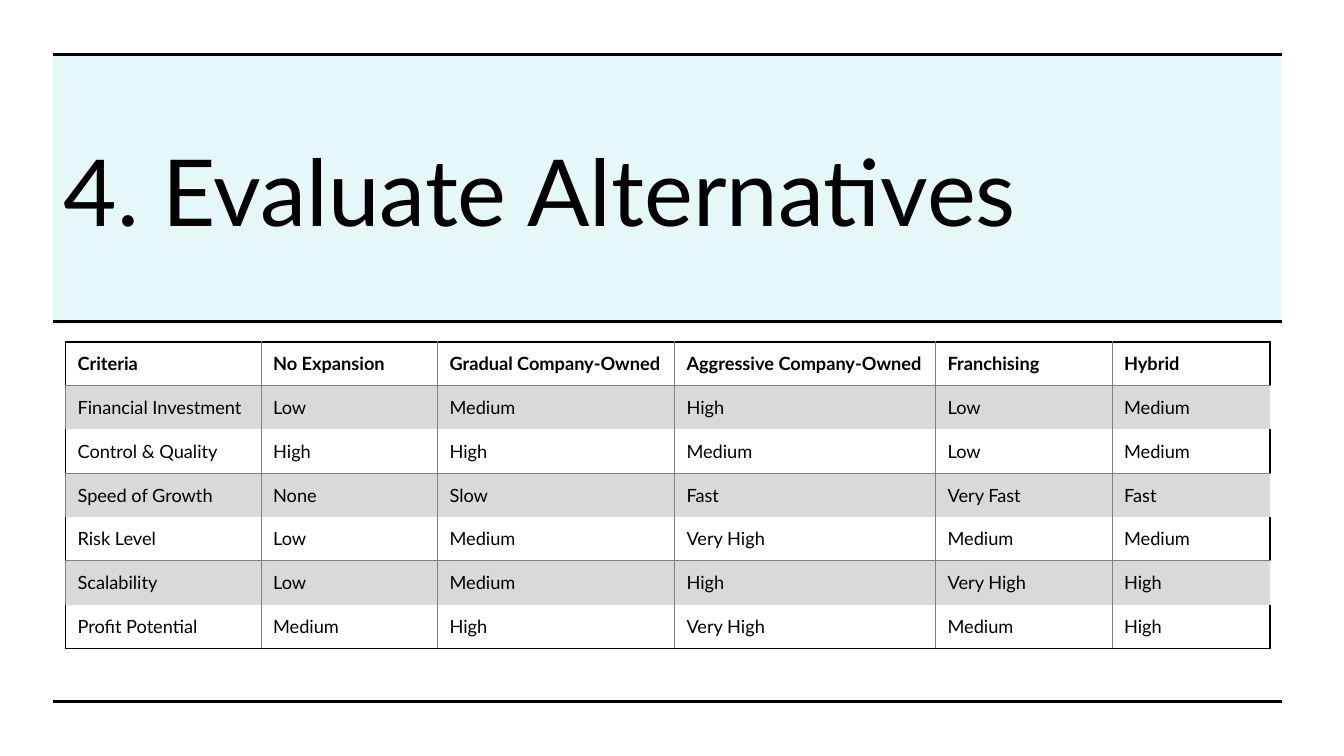
from dataclasses import dataclass
from typing import Optional

import lxml.etree
import pptx
import pptx.dml.color
import pptx.enum.shapes
import pptx.enum.text
import pptx.oxml
import pptx.oxml.ns
import pptx.util

Inches = pptx.util.Inches
Pt = pptx.util.Pt
RGBColor = pptx.dml.color.RGBColor
qn = pptx.oxml.ns.qn

BLACK = RGBColor(0x00, 0x00, 0x00)
GREY = RGBColor(0x80, 0x80, 0x80)
SHADE = RGBColor(0xD9, 0xD9, 0xD9)
TEAL = RGBColor(0x00, 0xBA, 0xC8)
FONT = "Lato"


@dataclass(frozen=True)
class Border:
    color: RGBColor
    width: float


@dataclass(frozen=True)
class Rule:
    y: float
    left: float = 0.53
    right: float = 12.72
    width: float = 2.25


OUTER = Border(BLACK, 1.5)
INNER = Border(GREY, 0.5)
RULES = [Rule(0.54), Rule(3.19), Rule(6.96)]

COL_WIDTHS = [1.94, 1.75, 2.35, 2.59, 1.75, 1.57]
ROW_HEIGHT = 0.435
ROWS = [
    ["Criteria", "No Expansion", "Gradual Company-Owned",
     "Aggressive Company-Owned", "Franchising", "Hybrid"],
    ["Financial Investment", "Low", "Medium", "High", "Low", "Medium"],
    ["Control & Quality", "High", "High", "Medium", "Low", "Medium"],
    ["Speed of Growth", "None", "Slow", "Fast", "Very Fast", "Fast"],
    ["Risk Level", "Low", "Medium", "Very High", "Medium", "Medium"],
    ["Scalability", "Low", "Medium", "High", "Very High", "High"],
    ["Profit Potential", "Medium", "High", "Very High", "Medium", "High"],
]


def write_text(tf, text: str, *, size: float, bold: bool = False) -> None:
    p = tf.paragraphs[0]
    p.alignment = pptx.enum.text.PP_ALIGN.LEFT
    r = p.add_run()
    r.text = text
    r.font.name = FONT
    r.font.size = Pt(size)
    r.font.bold = bold
    r.font.color.rgb = BLACK


def add_band(slide):
    sp = slide.shapes.add_shape(
        pptx.enum.shapes.MSO_SHAPE.RECTANGLE,
        Inches(0.52), Inches(0.53), Inches(12.19), Inches(2.69))
    sp.shadow.inherit = False
    sp.line.fill.background()
    sp.fill.solid()
    sp.fill.fore_color.rgb = TEAL
    color = sp.element.spPr.find(qn("a:solidFill")).find(qn("a:srgbClr"))
    lxml.etree.SubElement(color, qn("a:alpha"), val="10000")
    return sp


def place_title(slide, band) -> None:
    sp = slide.shapes.title
    band.element.addnext(sp.element)
    sp.left, sp.top = Inches(0.53), Inches(1.07)
    sp.width, sp.height = Inches(11.33), Inches(1.63)
    tf = sp.text_frame
    tf.word_wrap = True
    tf.auto_size = pptx.enum.text.MSO_AUTO_SIZE.NONE
    tf.vertical_anchor = pptx.enum.text.MSO_ANCHOR.MIDDLE
    write_text(tf, "4. Evaluate Alternatives", size=66)


def add_rule(slide, rule: Rule) -> None:
    line = slide.shapes.add_connector(
        pptx.enum.shapes.MSO_CONNECTOR.STRAIGHT,
        Inches(rule.left), Inches(rule.y), Inches(rule.right), Inches(rule.y))
    line.line.color.rgb = BLACK
    line.line.width = Pt(rule.width)
    lxml.etree.SubElement(line.element.spPr, qn("a:effectLst"))


def set_border(cell, side: str, border: Optional[Border]) -> None:
    tcPr = cell._tc.get_or_add_tcPr()
    ln = lxml.etree.SubElement(tcPr, qn(f"a:ln{side}"))
    if border is None:
        lxml.etree.SubElement(ln, qn("a:noFill"))
        return
    ln.set("w", str(int(Pt(border.width))))
    fill = lxml.etree.SubElement(ln, qn("a:solidFill"))
    lxml.etree.SubElement(fill, qn("a:srgbClr"), val=str(border.color))


def format_cell(cell, row: int, col: int) -> None:
    shaded = row % 2 == 1
    last_row, last_col = len(ROWS) - 1, len(COL_WIDTHS) - 1
    edge = None if shaded else OUTER
    left = OUTER if col == 0 and not shaded else INNER
    right = edge if col == last_col else INNER
    top = OUTER if row == 0 else INNER if shaded else None
    bottom = None if shaded else OUTER if row == last_row else INNER
    for side, border in zip("LRTB", (left, right, top, bottom)):
        set_border(cell, side, border)
    if shaded:
        cell.fill.solid()
        cell.fill.fore_color.rgb = SHADE
    else:
        cell.fill.background()
    cell.margin_left = Inches(0.12)
    cell.margin_top = cell.margin_right = cell.margin_bottom = Inches(0.09)
    cell.vertical_anchor = pptx.enum.text.MSO_ANCHOR.MIDDLE


def add_criteria_table(slide) -> None:
    frame = slide.shapes.add_table(
        len(ROWS), len(COL_WIDTHS), Inches(0.65), Inches(3.39),
        Inches(sum(COL_WIDTHS)), Inches(ROW_HEIGHT * len(ROWS)))
    table = frame.table
    table.first_row = False
    table.horz_banding = False
    for column, width in zip(table.columns, COL_WIDTHS):
        column.width = Inches(width)
    for i, texts in enumerate(ROWS):
        table.rows[i].height = Inches(ROW_HEIGHT)
        for j, text in enumerate(texts):
            cell = table.cell(i, j)
            format_cell(cell, i, j)
            write_text(cell.text_frame, text, size=13, bold=i == 0)


def main() -> None:
    prs = pptx.Presentation()
    prs.slide_width = Inches(13.33)
    prs.slide_height = Inches(7.5)
    slide = prs.slides.add_slide(prs.slide_layouts.get_by_name("Title Only"))
    place_title(slide, add_band(slide))
    for rule in RULES:
        add_rule(slide, rule)
    add_criteria_table(slide)
    prs.save("out.pptx")


if __name__ == "__main__":
    main()
